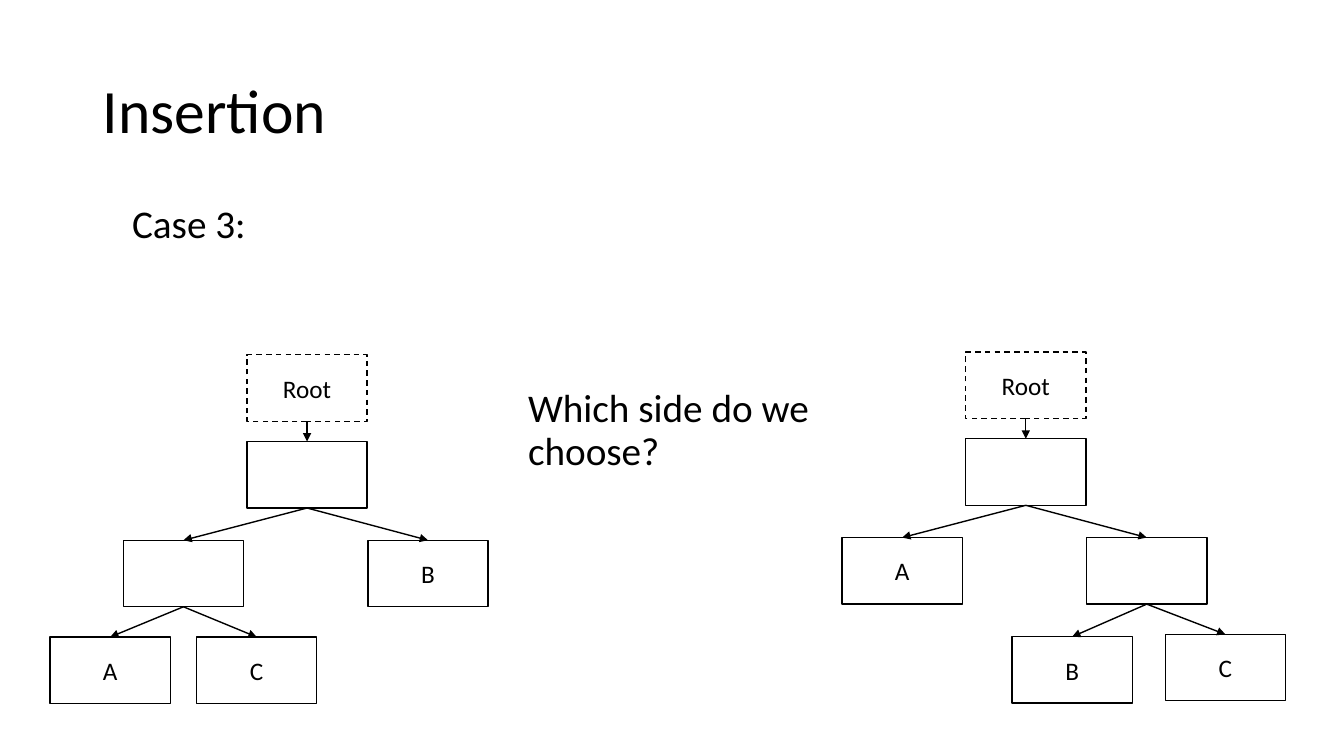
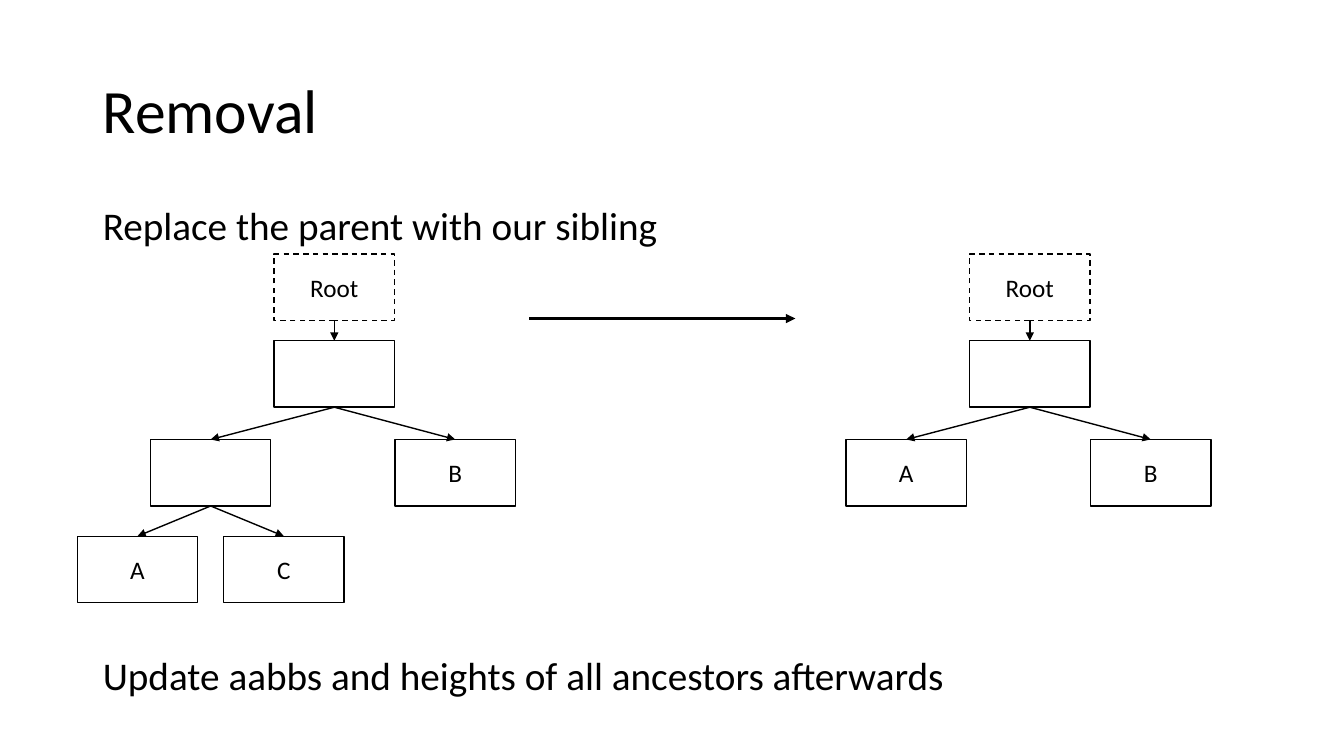
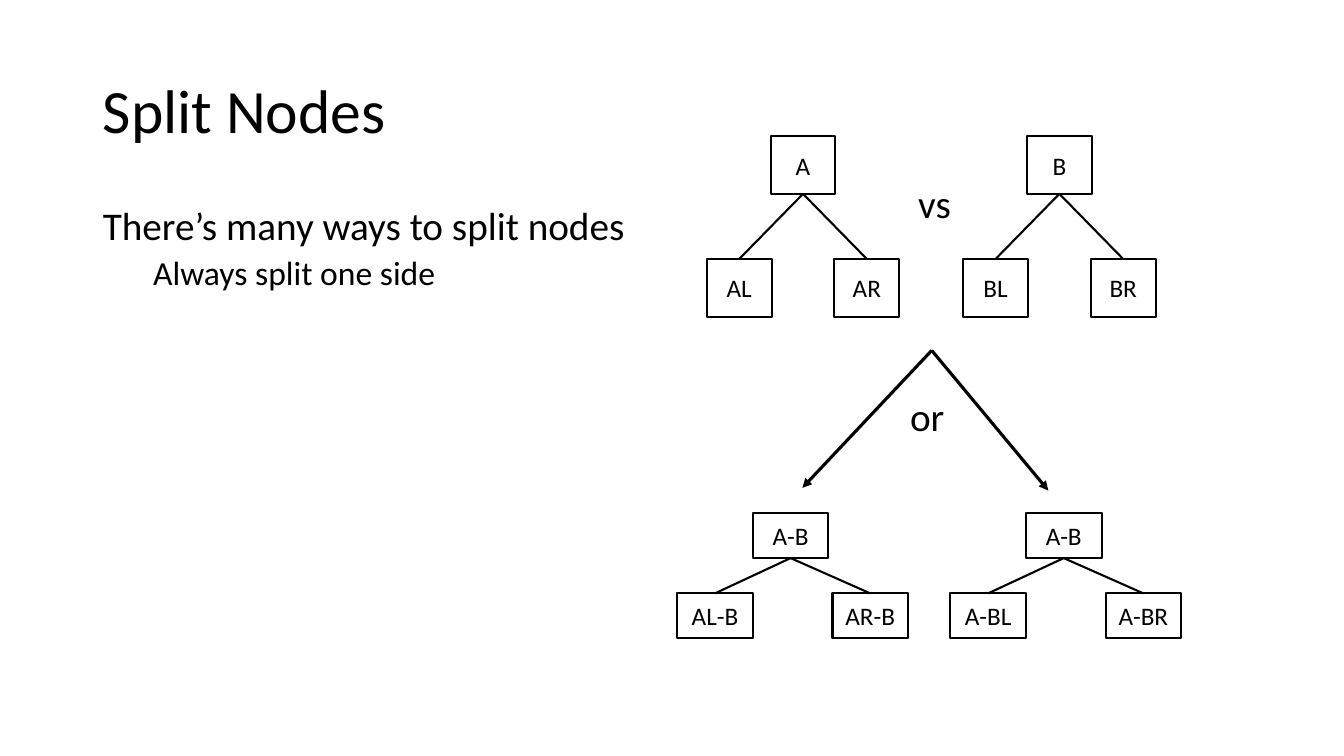
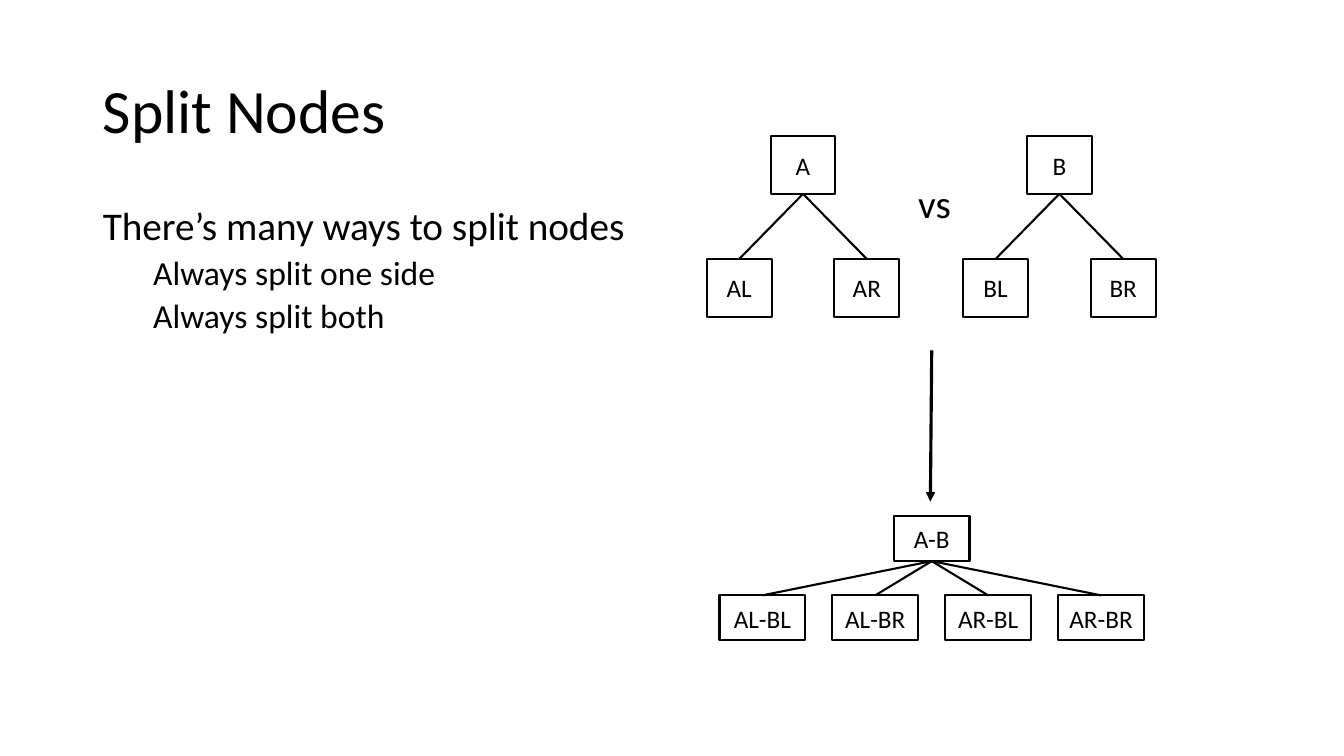
import dataclasses

import lxml.etree
import pptx
import pptx.dml.color
import pptx.enum.dml
import pptx.enum.shapes
import pptx.enum.text
import pptx.oxml.ns
import pptx.util

COLOURS = {"ink": "000000", "paper": "FFFFFF"}
FONT = "Calibri"
COLUMNS, ROWS = 40, 22.5  # square cells on a 13.33 x 7.5 inch page
TITLE_AT = (2.76, 1.2, 34.5, 4.35)
BODY_AT = (2.76, 6, 34.5, 14.28)
ALIGN = pptx.enum.text.PP_ALIGN
ANCHOR = pptx.enum.text.MSO_ANCHOR


@dataclasses.dataclass
class Node:
    """A tree box; dx and dy lead from the parent's top centre to its own."""
    label: str = ""
    dx: float = 0
    dy: float = 0
    children: tuple = ()
    width: float = 0
    dashed: bool = False


@dataclasses.dataclass
class TreeStyle:
    width: float
    height: float
    line: float
    fill: bool = False
    arrows: bool = False


ARROW_TREE = TreeStyle(3.58, 1.98, 1, fill=True, arrows=True)
SQUARE_TREE = TreeStyle(1.93, 1.72, 1.5)
FLAT_TREE = TreeStyle(2.25, 1.34, 1.5)


def colour(name):
    return pptx.dml.color.RGBColor.from_string(COLOURS[name])


def add_xml(parent, tag, **attributes):
    return lxml.etree.SubElement(parent, pptx.oxml.ns.qn(tag), attributes)


def write(frame, text, size=28, align=ALIGN.LEFT, spacing=0.9, before=0, indent=0):
    """Add one paragraph, using the frame's first one while it is empty."""
    para = frame.add_paragraph() if frame.text else frame.paragraphs[0]
    if indent:
        para.level = 1
    properties = para._p.get_or_add_pPr()
    properties.set("marL", str(pptx.util.Inches(indent)))
    properties.set("indent", "0")
    add_xml(properties, "a:buNone")
    para.alignment = align
    para.line_spacing = spacing
    para.space_before = pptx.util.Pt(before)
    span = para.add_run()
    span.text = text
    span.font.name = FONT
    span.font.size = pptx.util.Pt(size)
    span.font.color.rgb = colour("ink")


class Deck:
    def __init__(self):
        self.file = pptx.Presentation()
        self.file.slide_width = pptx.util.Inches(13.33)
        self.file.slide_height = pptx.util.Inches(7.5)
        self.layout = self.file.slide_layouts[1]
        self.page = None
        for holder, at in zip(self.layout.placeholders, (TITLE_AT, BODY_AT)):
            self.place(holder, at)

    def x(self, columns):
        return round(self.file.slide_width * columns / COLUMNS)

    def y(self, rows):
        return round(self.file.slide_height * rows / ROWS)

    def area(self, left, top, width, height):
        return self.x(left), self.y(top), self.x(width), self.y(height)

    def place(self, shape, at):
        shape.left, shape.top, shape.width, shape.height = self.area(*at)

    def new_page(self, title):
        self.page = self.file.slides.add_slide(self.layout)
        frame = self.page.shapes.title.text_frame
        frame.vertical_anchor = ANCHOR.MIDDLE
        write(frame, title, size=44)

    def body(self, *lines, at=BODY_AT):
        """Fill the body with (text, format) pairs."""
        holder = self.page.placeholders[1]
        self.place(holder, at)
        holder.text_frame.auto_size = pptx.enum.text.MSO_AUTO_SIZE.NONE
        for text, style in lines:
            write(holder.text_frame, text, **style)

    def note(self, text, *at):
        box = self.page.shapes.add_textbox(*self.area(*at))
        box.text_frame.word_wrap = True
        write(box.text_frame, text)

    def line(self, start=(0, 0), end=(0, 0), width=2.25, arrow=True):
        connector = self.page.shapes.add_connector(
            pptx.enum.shapes.MSO_CONNECTOR.STRAIGHT,
            self.x(start[0]), self.y(start[1]), self.x(end[0]), self.y(end[1]))
        connector.line.color.rgb = colour("ink")
        connector.line.width = pptx.util.Pt(width)
        properties = connector.element.spPr
        if arrow:
            outline = properties.find(pptx.oxml.ns.qn("a:ln"))
            add_xml(outline, "a:tailEnd", type="triangle")
        add_xml(properties, "a:effectLst")
        return connector

    def node_box(self, node, centre, top, style):
        width = node.width or style.width
        box = self.page.shapes.add_shape(
            pptx.enum.shapes.MSO_SHAPE.RECTANGLE,
            *self.area(centre - width / 2, top, width, style.height))
        box.shadow.inherit = False
        if style.fill:
            box.fill.solid()
            box.fill.fore_color.rgb = colour("paper")
        else:
            box.fill.background()
        box.line.color.rgb = colour("ink")
        box.line.width = pptx.util.Pt(style.line)
        if node.dashed:
            box.line.dash_style = pptx.enum.dml.MSO_LINE.DASH
        if node.label:
            frame = box.text_frame
            frame.margin_left = frame.margin_right = 0
            frame.vertical_anchor = ANCHOR.MIDDLE
            write(frame, node.label, size=18, align=ALIGN.CENTER, spacing=1)
        return box

    def tree(self, node, centre, top, style):
        box = self.node_box(node, centre, top, style)
        for child in node.children:
            child_box = self.tree(child, centre + child.dx, top + child.dy, style)
            link = self.line(width=style.line, arrow=style.arrows)
            link.begin_connect(box, 2)
            link.end_connect(child_box, 0)
        return box

    def rooted_tree(self, centre, top, left, right):
        """Draw a dashed root above an unnamed node with two (label, children)."""
        sides = (Node(left[0], -3.68, 2.94, left[1]),
                 Node(right[0], 3.6, 2.94, right[1]))
        inner = Node(dy=2.58, children=sides)
        self.tree(Node("Root", children=(inner,), dashed=True), centre, top, ARROW_TREE)

    def split_page(self, *ways):
        """Start a page that compares trees A and B and lists ways to split."""
        self.new_page("Split Nodes")
        self.body(("There’s many ways to split nodes", {}),
                  *((way, {"size": 24, "before": 5, "indent": 0.5}) for way in ways))
        for name, centre in (("A", 23.9), ("B", 31.53)):
            leaves = (Node(name + "L", -1.9, 3.66), Node(name + "R", 1.9, 3.66))
            self.tree(Node(name, children=leaves), centre, 4.05, SQUARE_TREE)
        self.note("vs", 27.03, 5.34, 1.89, 1.77)


def main():
    deck = Deck()
    pair_a_c = (Node("A", -2.18, 2.88), Node("C", 2.18, 2.88))
    pair_b_c = (Node("B", -2.22, 2.95), Node("C", 2.34, 2.88))

    deck.new_page("Insertion")
    deck.body(("Case 3:", {}), at=(3.63, 5.94, 33.57, 14.28))
    deck.note("Which side do we choose?", 15.42, 11.43, 9.24, 3.72)
    deck.rooted_tree(9.14, 10.56, ("", pair_a_c), ("B", ()))
    deck.rooted_tree(30.53, 10.48, ("A", ()), ("", pair_b_c))

    deck.new_page("Removal")
    deck.body(("Replace the parent with our sibling", {}),
              ("Update aabbs and heights of all ancestors afterwards", {"before": 291}),
              at=(2.76, 6, 34.5, 15.36))
    deck.rooted_tree(9.95, 7.56, ("", pair_a_c), ("B", ()))
    deck.line((15.75, 9.48), (23.67, 9.48))
    deck.rooted_tree(30.65, 7.56, ("A", ()), ("B", ()))

    fork = (27.73, 10.43)
    deck.split_page("Always split one side")
    for end in ((31.2, 14.6), (23.88, 14.52)):
        deck.line(fork, end)
    for labels, centre in ((("AL-B", "AR-B"), 23.53), (("A-BL", "A-BR"), 31.66)):
        leaves = tuple(Node(label, dx, 2.39) for label, dx in zip(labels, (-2.25, 2.37)))
        deck.tree(Node("A-B", children=leaves), centre, 15.27, FLAT_TREE)
    deck.note("or", 26.79, 11.7, 1.89, 1.77)

    deck.split_page("Always split one side", "Always split both")
    deck.line(fork, (27.69, 14.93))
    labels = ("AL-BL", "AL-BR", "AR-BL", "AR-BR")
    leaves = tuple(Node(label, 3.36 * (index - 1.5), 2.36, width=2.55)
                   for index, label in enumerate(labels))
    deck.tree(Node("A-B", children=leaves), 27.73, 15.36, FLAT_TREE)

    deck.file.save("out.pptx")


if __name__ == "__main__":
    main()
